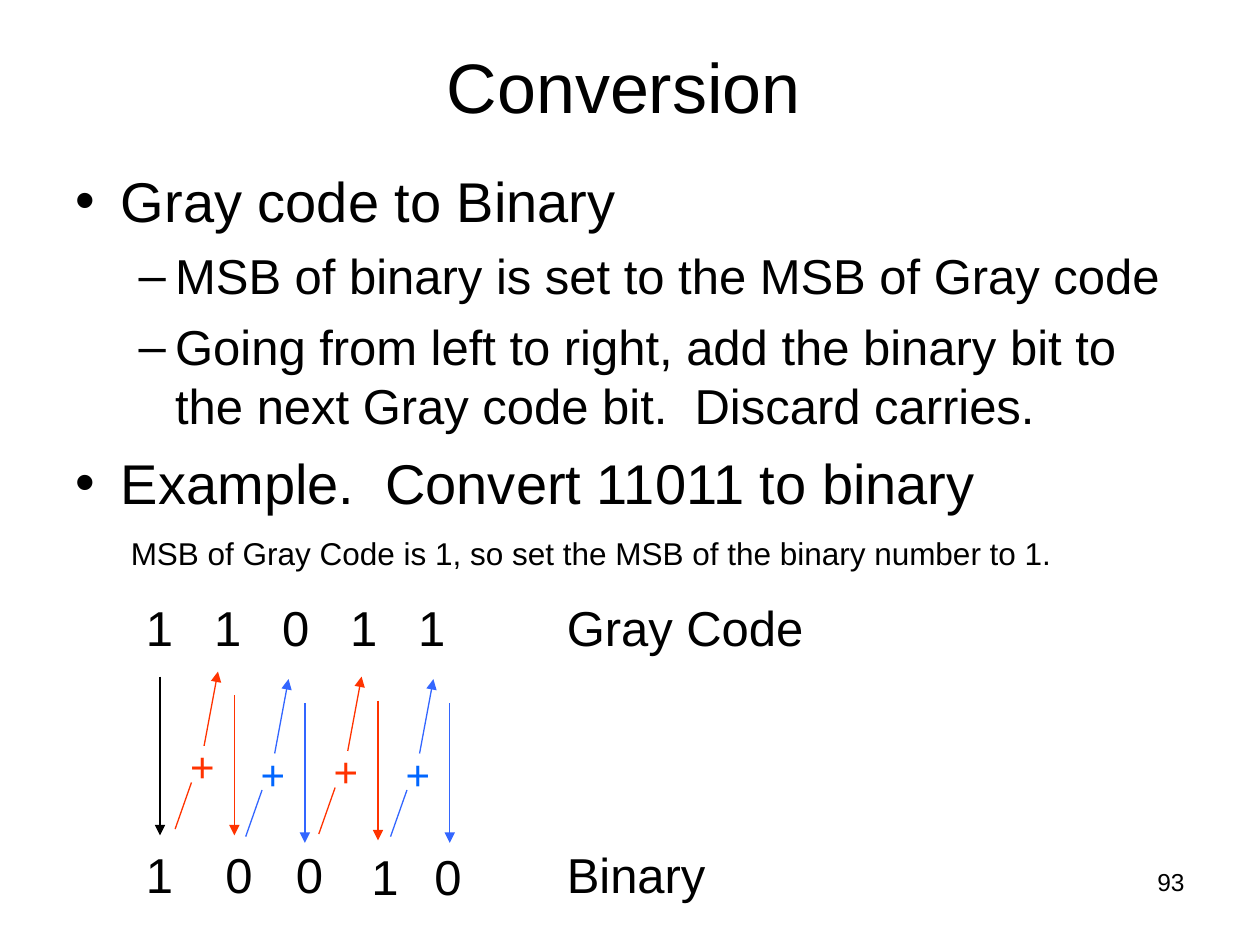
from lxml.etree import SubElement as Sub
from pptx import Presentation
from pptx.dml.color import RGBColor
from pptx.enum.shapes import MSO_CONNECTOR as Conn
from pptx.enum.text import MSO_ANCHOR as Anchor, MSO_AUTO_SIZE as Fit, PP_ALIGN as Align
from pptx.oxml.ns import qn
from pptx.util import Inches, Pt

BLACK = RGBColor(0, 0, 0)
RED = RGBColor(0xFF, 0x33, 0x00)
BLUE = RGBColor(0x33, 0x66, 0xFF)
AZURE = RGBColor(0x00, 0x66, 0xFF)

BULLETS = [
    (0, "Gray code to Binary"),
    (1, "MSB of binary is set to the MSB of Gray code"),
    (1, "Going from left to right, add the binary bit to the next Gray code bit.  Discard carries."),
    (0, "Example.  Convert 11011 to binary"),
]
LEVELS = [(32, 8, 0.36, -0.36), (28, 7, 0.79, -0.29)]

STEPS = [
    (1.86, 0, RED, RED, "0", 1.69, 6.65),
    (2.42, 0.06, BLUE, AZURE, "0", 2.25, 6.65),
    (3.00, 0.04, RED, RED, "1", 2.85, 6.67),
    (3.57, 0.06, BLUE, AZURE, "0", 3.35, 6.67),
]
PITCH = 0.54
LABEL = 3.34


def write(para, text, size=28, color=BLACK, align=Align.LEFT, before=0, tabs=()):
    para.alignment = align
    para.space_before = Pt(before)
    if tabs:
        stops = Sub(para._p.get_or_add_pPr(), qn("a:tabLst"))
        for pos in tabs:
            Sub(stops, qn("a:tab"), pos=str(Inches(pos)), algn="l")
    run = para.add_run()
    run.text = text
    run.font.name = "Arial"
    run.font.size = Pt(size)
    run.font.color.rgb = color


def place(shape, left, top, width, height):
    shape.left, shape.top = Inches(left), Inches(top)
    shape.width, shape.height = Inches(width), Inches(height)


def label(slide, text, left, top, width, height, **style):
    box = slide.shapes.add_textbox(Inches(left), Inches(top), Inches(width), Inches(height))
    box.text_frame.word_wrap = True
    write(box.text_frame.paragraphs[0], text, **style)


def line(slide, start, end, color, arrow=False):
    ends = [Inches(v) for v in (*start, *end)]
    link = slide.shapes.add_connector(Conn.STRAIGHT, *ends)
    link.line.color.rgb = color
    link.line.width = Pt(0.75)
    if arrow:
        Sub(link.line._get_or_add_ln(), qn("a:tailEnd"), type="triangle")
    Sub(link._element.spPr, qn("a:effectLst"))


def head(slide, text):
    title = slide.shapes.title
    place(title, 0.5, 0.3, 8.9, 0.75)
    title.text_frame.auto_size = Fit.NONE
    title.text_frame.vertical_anchor = Anchor.MIDDLE
    write(title.text_frame.paragraphs[0], text, size=40, align=Align.CENTER)


def outline(slide, items):
    body = slide.placeholders[1]
    place(body, 0.5, 1.27, 9, 2.97)
    frame = body.text_frame
    frame.auto_size = Fit.NONE
    for i, (level, text) in enumerate(items):
        para = frame.add_paragraph() if i else frame.paragraphs[0]
        size, gap, margin, indent = LEVELS[level]
        para.level = level
        props = para._p.get_or_add_pPr()
        props.set("marL", str(Inches(margin)))
        props.set("indent", str(Inches(indent)))
        write(para, text, size=size, before=gap if i else 0)


def step(slide, x, dy, color, sign, bit, left, top):
    line(slide, (x - 0.24, 5.92 + dy), (x - 0.13, 5.33 + dy), color, arrow=True)
    line(slide, (x, 5.52 + dy), (x, 6.63 + dy), color, arrow=True)
    label(slide, "+", x - 0.45, 5.83 + dy, 0.29, 0.5, size=24, color=sign)
    line(slide, (x - 0.34, 6.21 + dy), (x - 0.47, 6.58 + dy), color)
    label(slide, bit, left, top, 0.4, 0.57)


def main():
    deck = Presentation()
    deck.slide_width, deck.slide_height = Inches(10), Inches(7.5)
    slide = deck.slides.add_slide(deck.slide_layouts[1])
    label(slide, "93", 7.17, 6.83, 2.33, 0.52, size=14, align=Align.RIGHT)
    head(slide, "Conversion")
    outline(slide, BULLETS)
    label(slide, "MSB of Gray Code is 1, so set the MSB of the binary number to 1.",
          0.94, 4.19, 7.73, 0.4, size=18)
    stops = [PITCH * i for i in range(1, 5)] + [LABEL]
    label(slide, "1\t1\t0\t1\t1\tGray Code", 1.06, 4.69, 5.58, 0.57, tabs=stops)
    line(slide, (1.27, 5.37), (1.27, 6.63), BLACK, arrow=True)
    label(slide, "1\tBinary", 1.06, 6.65, 5.58, 0.57, tabs=[LABEL])
    for item in STEPS:
        step(slide, *item)
    deck.save("out.pptx")


if __name__ == "__main__":
    main()
